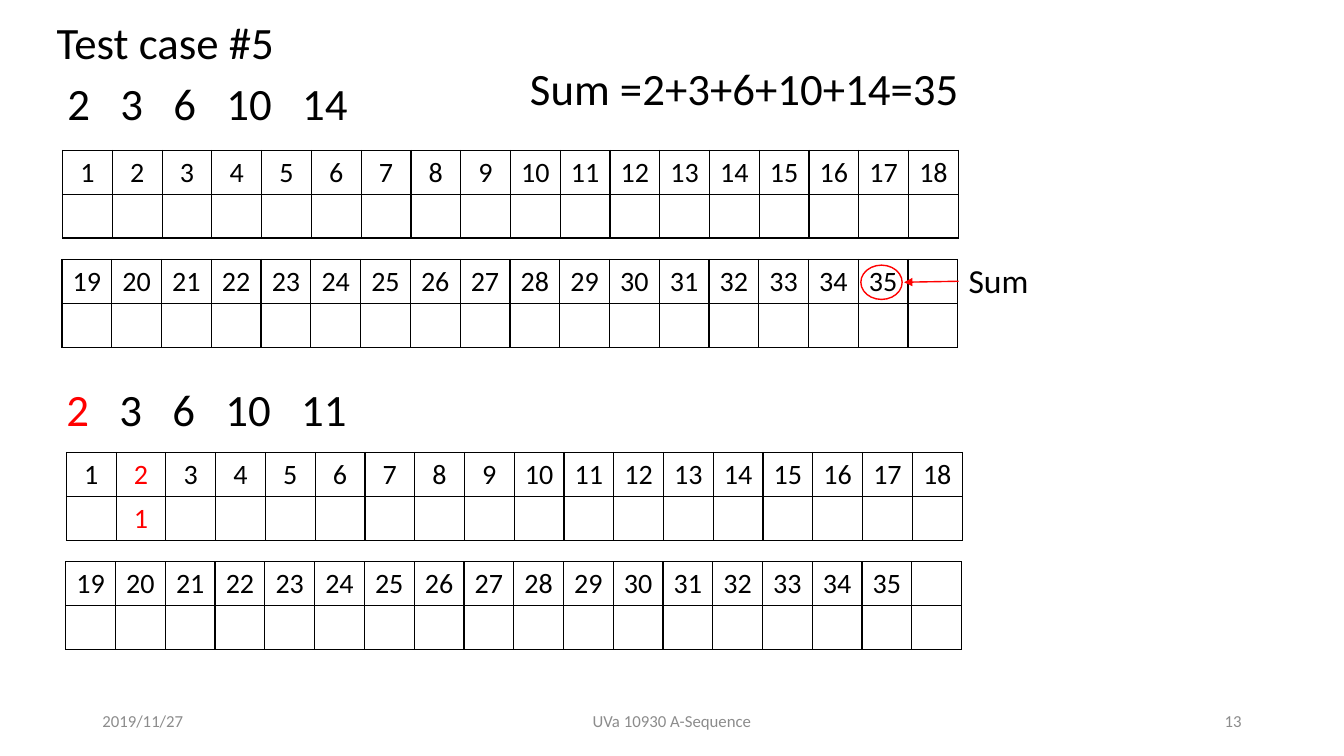
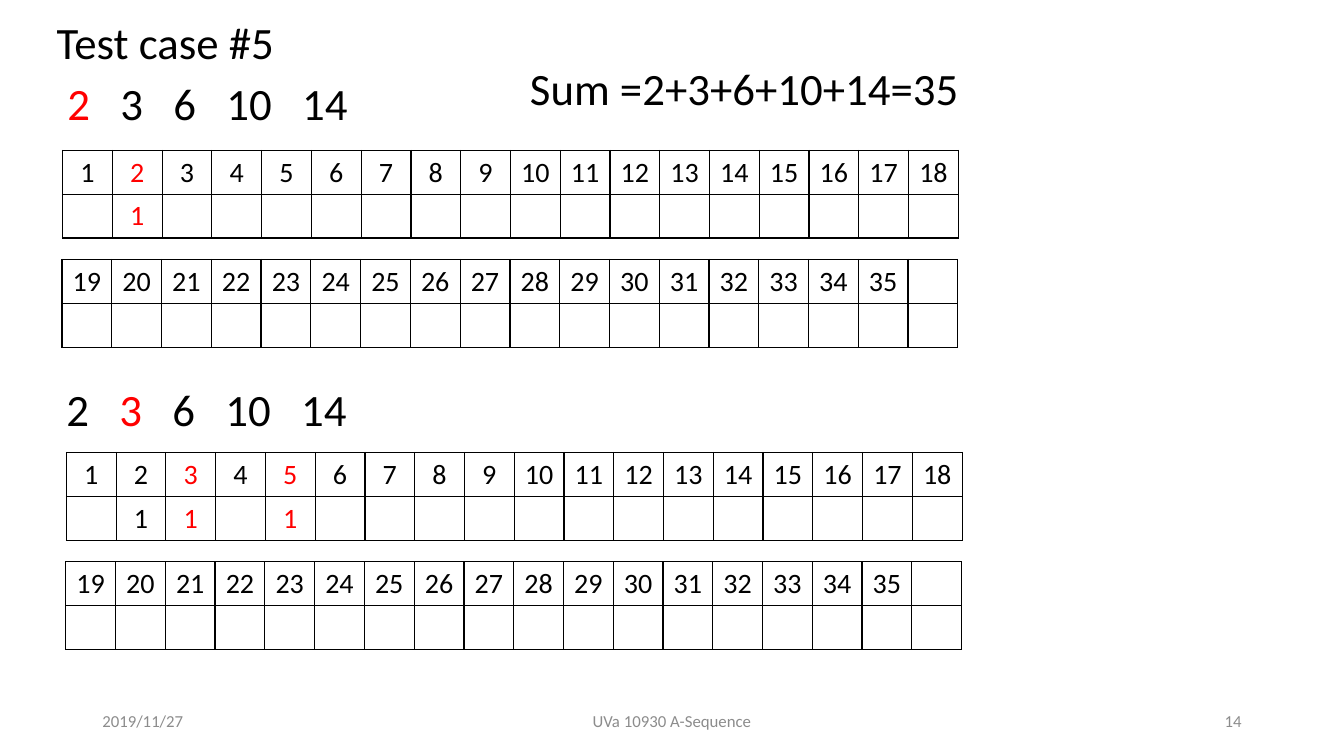
from itertools import accumulate

from lxml import etree
from pptx import Presentation
from pptx.dml.color import RGBColor
from pptx.enum import shapes, text
from pptx.oxml import ns
from pptx.util import Pt

BLACK = RGBColor(0, 0, 0)
RED = RGBColor(0xFF, 0, 0)
GRAY = RGBColor(0x8C, 0x8C, 0x8C)
FONT = "Calibri"
LEFT, CENTER, RIGHT = text.PP_ALIGN.LEFT, text.PP_ALIGN.CENTER, text.PP_ALIGN.RIGHT

TITLE = "Test case #5"
SUM_TEXT = "Sum =2+3+6+10+14=35"
DATE, FOOTER = "2019/11/27", "UVa 10930 A-Sequence"
LAST_SUM = 35

# Each step: the sequence, the number being added, sums known before, sums found now
SLIDES = [
    {"number": 13, "sum_marked": True, "steps": [
        {"sequence": (2, 3, 6, 10, 14), "current": None, "known": (), "found": ()},
        {"sequence": (2, 3, 6, 10, 11), "current": 2, "known": (), "found": (2,)},
    ]},
    {"number": 14, "sum_marked": False, "steps": [
        {"sequence": (2, 3, 6, 10, 14), "current": 2, "known": (), "found": (2,)},
        {"sequence": (2, 3, 6, 10, 14), "current": 3, "known": (2,), "found": (3, 5)},
    ]},
]

# Places in points: (left, top) of the sequence and of its first table
STEP_PLACES = [((41, 50.4), (44.7, 107.4)), ((40.3, 269.3), (47.4, 323.2))]
COLUMNS = 18
COLUMN_WIDTH, ROW_HEIGHT = 35.55, 31.3
SECOND_TABLE_SHIFT = (-0.4, 78)
DIGIT_WIDTH, NUMBER_GAP = 16.2, 21.7
FOOTER_TOP, FOOTER_HEIGHT = 500.5, 28.8


def format_font(font, size, color):
    for name, value in {"name": FONT, "size": Pt(size)}.items():
        setattr(font, name, value)
    font.color.rgb = color


def add_text(slide, runs, box, size, align=LEFT, anchor=text.MSO_ANCHOR.TOP, tabs=()):
    """Write (text, color) runs in one paragraph, with tab stops in points."""
    frame = slide.shapes.add_textbox(*map(Pt, box)).text_frame
    for name, value in {"word_wrap": True, "vertical_anchor": anchor}.items():
        setattr(frame, name, value)
    paragraph = frame.paragraphs[0]
    paragraph.alignment = align
    if tabs:
        properties = paragraph._p.get_or_add_pPr()
        tab_list = etree.SubElement(properties, ns.qn("a:tabLst"))
        for position in tabs:
            etree.SubElement(tab_list, ns.qn("a:tab"), pos=str(Pt(position)), algn="l")
    for content, color in runs:
        run = paragraph.add_run()
        run.text = content
        format_font(run.font, size, color)


def add_sequence(slide, step, left, top):
    numbers = step["sequence"]
    tabs = list(accumulate(len(str(n)) * DIGIT_WIDTH + NUMBER_GAP for n in numbers[:-1]))
    runs = [(("\t" if index else "") + str(n), RED if n == step["current"] else BLACK)
            for index, n in enumerate(numbers)]
    add_text(slide, runs, (left, top, 230.4, 46), 32, tabs=tabs)


def add_borders(cell):
    properties = cell._tc.get_or_add_tcPr()
    for side in ("a:lnL", "a:lnR", "a:lnT", "a:lnB"):
        line = etree.SubElement(properties, ns.qn(side), w=str(Pt(1)))
        fill = etree.SubElement(line, ns.qn("a:solidFill"))
        etree.SubElement(fill, ns.qn("a:srgbClr"), val=str(BLACK))


def add_sum_table(slide, first_sum, step, left, top):
    """Sums in the upper row, a 1 below each sum that can be reached."""
    box = (left, top, COLUMNS * COLUMN_WIDTH, 2 * ROW_HEIGHT)
    table = slide.shapes.add_table(2, COLUMNS, *map(Pt, box)).table
    table.first_row = table.horz_banding = False
    for row in table.rows:
        row.height = Pt(ROW_HEIGHT)
    for index, column in enumerate(table.columns):
        column.width = Pt(COLUMN_WIDTH)
        value = first_sum + index
        color = RED if value in step["found"] else BLACK
        reached = value in step["known"] + step["found"]
        contents = (str(value) if value <= LAST_SUM else "", "1" if reached else "")
        for row_index, content in enumerate(contents):
            cell = table.cell(row_index, index)
            add_borders(cell)
            cell.fill.background()
            if content:
                paragraph = cell.text_frame.paragraphs[0]
                paragraph.alignment = CENTER
                run = paragraph.add_run()
                run.text = content
                format_font(run.font, 20, color)


def add_sum_mark(slide):
    """Circle the last sum and point to it from its label."""
    circle = slide.shapes.add_shape(shapes.MSO_SHAPE.OVAL, *map(Pt, (614.9, 189.4, 29.5, 24.5)))
    circle.shadow.inherit = False
    circle.fill.background()
    add_text(slide, [("Sum", BLACK)], (684.7, 182.2, 62, 36), 24)
    arrow = slide.shapes.add_connector(
        shapes.MSO_CONNECTOR.STRAIGHT, *map(Pt, (684.7, 200.9, 645.8, 201.6)))
    for shape in (circle, arrow):
        shape.line.color.rgb = RED
        shape.line.width = Pt(1)
    etree.SubElement(arrow.line._get_or_add_ln(), ns.qn("a:tailEnd"), type="triangle")
    etree.SubElement(arrow._element.spPr, ns.qn("a:effectLst"))


def add_frame(slide, number):
    """Title, sum and footer, the same on every slide."""
    footers = [(DATE, 66, 216, LEFT), (FOOTER, 318, 324, CENTER), (str(number), 678, 216, RIGHT)]
    for content, left, width, align in footers:
        add_text(slide, [(content, GRAY)], (left, FOOTER_TOP, width, FOOTER_HEIGHT), 12,
                 align, text.MSO_ANCHOR.MIDDLE)
    add_text(slide, [(TITLE, BLACK)], (33.3, 7.2, 180, 46), 32)
    add_text(slide, [(SUM_TEXT, BLACK)], (371.5, 39.6, 324, 46), 32)


def main():
    presentation = Presentation()
    presentation.slide_width, presentation.slide_height = Pt(960), Pt(540)
    for content in SLIDES:
        slide = presentation.slides.add_slide(presentation.slide_layouts[6])
        add_frame(slide, content["number"])
        for step, (sequence_place, (left, top)) in zip(content["steps"], STEP_PLACES):
            add_sequence(slide, step, *sequence_place)
            for index in range(2):
                add_sum_table(slide, 1 + index * COLUMNS, step,
                              left + index * SECOND_TABLE_SHIFT[0],
                              top + index * SECOND_TABLE_SHIFT[1])
        if content["sum_marked"]:
            add_sum_mark(slide)
    presentation.save("out.pptx")


if __name__ == "__main__":
    main()
